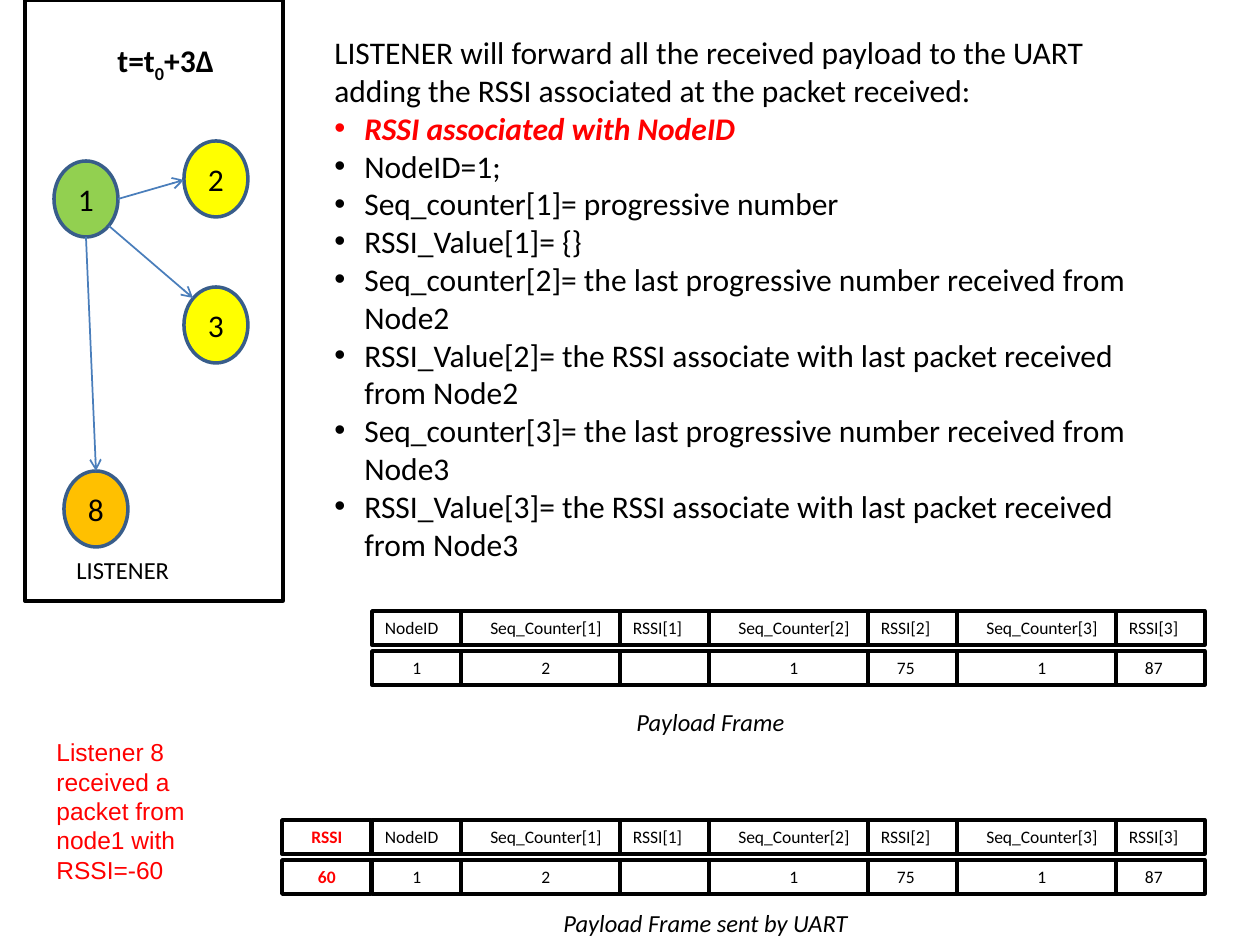
from lxml import etree
from pptx import Presentation
from pptx import util as u
from pptx.dml.color import RGBColor
from pptx.enum import shapes, text
from pptx.oxml import ns

BLACK = RGBColor(0x00, 0x00, 0x00)
WHITE = RGBColor(0xFF, 0xFF, 0xFF)
RED = RGBColor(0xFF, 0x00, 0x00)
GREEN = RGBColor(0x92, 0xD0, 0x50)
YELLOW = RGBColor(0xFF, 0xFF, 0x00)
ORANGE = RGBColor(0xFF, 0xC0, 0x00)
NODE_EDGE = RGBColor(0x38, 0x5D, 0x8A)
ARROW_BLUE = RGBColor(0x4A, 0x7E, 0xBB)

PX_PER_INCH = 126
CENTER = text.PP_ALIGN.CENTER
LEFT = text.PP_ALIGN.LEFT


def px(length):
    return u.Emu(round(length * u.Inches(1) / PX_PER_INCH))


def add_xml(parent, tag, **attributes):
    return etree.SubElement(parent, ns.qn(tag), attributes)


class SlideBuilder:
    def __init__(self, slide, font="Calibri"):
        self.slide = slide
        self.font = font

    def run(self, paragraph, words, size, color=BLACK, bold=False, italic=False,
            font=None, baseline=None):
        run = paragraph.add_run()
        run.text = words
        run.font.name = font or self.font
        run.font.size = u.Pt(size)
        run.font.bold = bold
        run.font.italic = italic
        run.font.color.rgb = color
        if baseline:
            run.font._element.set("baseline", str(baseline))

    def bullet(self, paragraph, color, indent=30):
        properties = paragraph._p.get_or_add_pPr()
        properties.set("marL", str(px(indent)))
        properties.set("indent", str(-px(indent)))
        add_xml(add_xml(properties, "a:buClr"), "a:srgbClr", val=str(color))
        add_xml(properties, "a:buFont", typeface="Arial")
        add_xml(properties, "a:buChar", char="•")

    def text_box(self, left, top, width, height, wrap=True):
        """Add an empty text box and return its text frame."""
        box = self.slide.shapes.add_textbox(px(left), px(top), px(width), px(height))
        box.text_frame.word_wrap = wrap
        return box.text_frame

    def label(self, left, top, width, height, words, size=14, wrap=True, **style):
        frame = self.text_box(left, top, width, height, wrap)
        self.run(frame.paragraphs[0], words, size, **style)

    def shape(self, kind, left, top, width, height, fill, edge):
        shape = self.slide.shapes.add_shape(kind, px(left), px(top), px(width), px(height))
        shape.shadow.inherit = False
        if fill is None:
            shape.fill.background()
        else:
            shape.fill.solid()
            shape.fill.fore_color.rgb = fill
        shape.line.color.rgb = edge
        shape.line.width = u.Pt(2)
        return shape

    def node(self, left, top, number, fill):
        circle = self.shape(shapes.MSO_SHAPE.OVAL, left, top, 64, 76, fill, NODE_EDGE)
        circle.text_frame.vertical_anchor = text.MSO_ANCHOR.MIDDLE
        paragraph = circle.text_frame.paragraphs[0]
        paragraph.alignment = CENTER
        self.run(paragraph, number, 18)

    def arrow(self, start, end):
        line = self.slide.shapes.add_connector(
            shapes.MSO_CONNECTOR.STRAIGHT, *map(px, start + end))
        line.line.color.rgb = ARROW_BLUE
        line.line.width = u.Pt(1)
        add_xml(line.line._get_or_add_ln(), "a:tailEnd", type="arrow")
        add_xml(line._element.spPr, "a:effectLst")

    def cell(self, left, top, width, words, align=CENTER, inset=13, **style):
        cell = self.shape(shapes.MSO_SHAPE.RECTANGLE, left, top, width, 34, WHITE, BLACK)
        frame = cell.text_frame
        frame.vertical_anchor = text.MSO_ANCHOR.TOP
        frame.margin_left = px(inset)
        paragraph = frame.paragraphs[0]
        paragraph.alignment = align
        if words:
            self.run(paragraph, words, 10, **style)

    def payload_frame(self, top):
        """Draw the header row and the value row of one payload frame."""
        narrow, wide, pair_pitch = 89, 169, 248
        left, value_top = 372, top + 40
        self.cell(left, top, narrow, "NodeID", LEFT)
        self.cell(left, value_top, narrow, "1")
        for index, (counter, rssi) in enumerate([("2", ""), ("1", "75"), ("1", "87")]):
            counter_left = left + narrow + index * pair_pitch
            rssi_left = counter_left + 159
            self.cell(counter_left, top, wide, f"Seq_Counter[{index + 1}]")
            self.cell(counter_left, value_top, wide, counter)
            self.cell(rssi_left, top, narrow, f"RSSI[{index + 1}]", LEFT)
            self.cell(rssi_left, value_top, narrow, rssi, LEFT, inset=29)


def add_description(builder):
    frame = builder.text_box(322, 27, 868, 617)
    builder.run(frame.paragraphs[0], "LISTENER will forward all the received payload to the "
                "UART adding the RSSI associated at the packet received:", 18)
    heading = frame.add_paragraph()
    builder.bullet(heading, RED)
    builder.run(heading, "RSSI associated with NodeID", 18, RED, bold=True, italic=True)
    items = ["NodeID=1;", "Seq_counter[1]= progressive number", "RSSI_Value[1]= {}"]
    for node in (2, 3):
        items += [
            f"Seq_counter[{node}]= the last progressive number received from Node{node}",
            f"RSSI_Value[{node}]= the RSSI associate with last packet received from Node{node}",
        ]
    for item in items:
        paragraph = frame.add_paragraph()
        builder.bullet(paragraph, BLACK)
        builder.run(paragraph, item, 18)


def add_network(builder):
    time = builder.text_box(105, 35, 129, 55).paragraphs[0]
    builder.run(time, "t=t", 18, bold=True)
    builder.run(time, "0", 18, bold=True, baseline=-25000)
    builder.run(time, "+3Δ", 18, bold=True)

    builder.node(54, 161, "1", GREEN)
    builder.node(184, 141, "2", YELLOW)
    builder.node(184, 287, "3", YELLOW)
    builder.node(64, 471, "8", ORANGE)
    builder.label(64, 549, 120, 43, "LISTENER")
    builder.arrow((118, 199), (184, 180))
    builder.arrow((86, 237), (96, 471))
    builder.arrow((109, 226), (193, 298))
    builder.shape(shapes.MSO_SHAPE.RECTANGLE, 25, 0, 258, 601, None, BLACK)


def add_frames(builder):
    builder.payload_frame(611)
    builder.label(624, 701, 174, 43, "Payload Frame", wrap=False, italic=True)
    builder.payload_frame(820)
    builder.label(551, 902, 311, 43, "Payload Frame sent by UART", wrap=False, italic=True)
    for top, words in ((820, "RSSI"), (860, "60")):
        builder.cell(282, top, 89, words, color=RED, bold=True)
    builder.label(44, 731, 208, 160, "Listener 8 received a packet from node1 with RSSI=-60",
                  color=RED, font="Arial")


def main():
    presentation = Presentation()
    presentation.slide_width = u.Inches(10)
    presentation.slide_height = u.Inches(7.5)
    builder = SlideBuilder(presentation.slides.add_slide(presentation.slide_layouts[6]))
    add_description(builder)
    add_network(builder)
    add_frames(builder)
    presentation.save("out.pptx")


if __name__ == "__main__":
    main()
